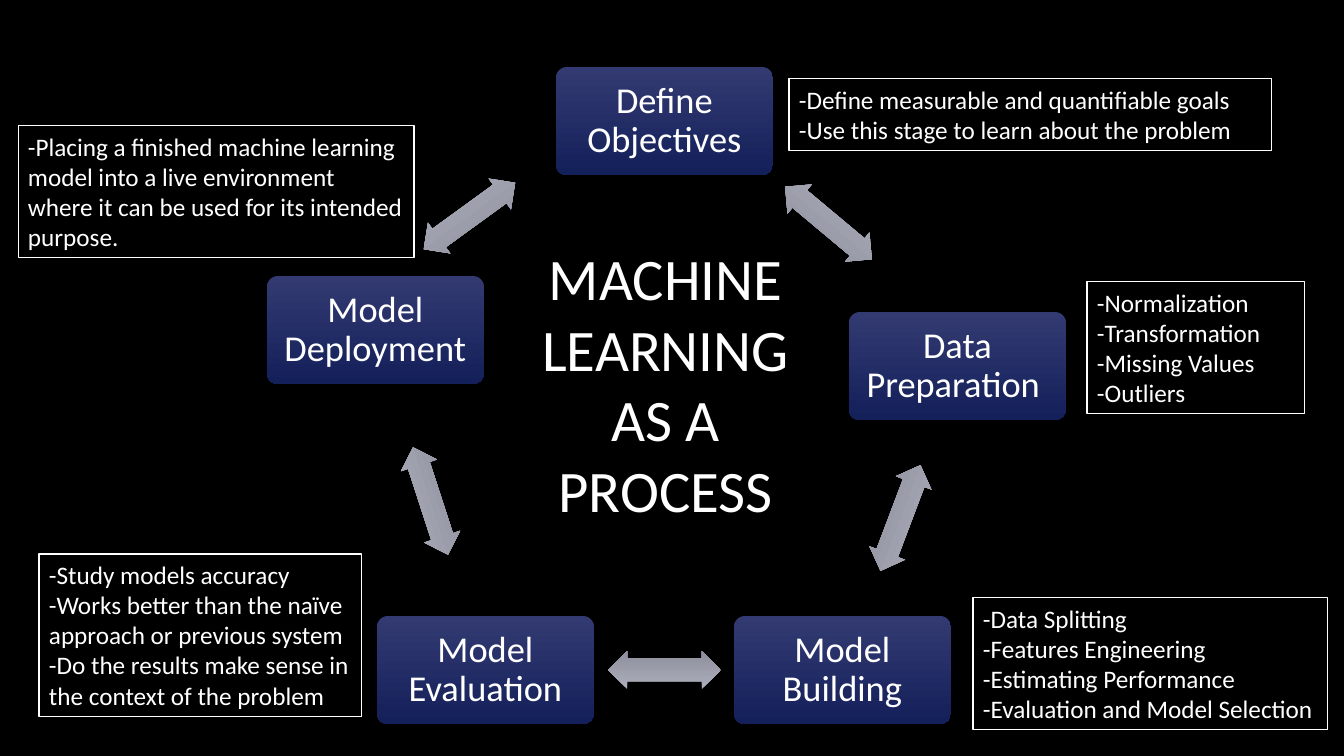
from pptx import Presentation
from pptx import util as u
from pptx.dml.color import RGBColor
from pptx.enum import shapes, text

PX = 914400 / 100.8  # EMU in one px

COLORS = {
    "background": "000000",
    "text": "FFFFFF",
    "stage_top": "333A72",
    "stage_bottom": "14205A",
    "arrow_top": "AEAFBC",
    "arrow_bottom": "8D8E9D",
}
STAGE_SIZE = (217, 108)
ARROW_SIZE = (113, 38)

# Clockwise from the top: label, position, then the arrow to the next stage
STAGES = [
    ("Define Objectives", (556, 67), (772, 204), 39.9),
    ("Data Preparation ", (849, 312), (844, 499), 110.7),
    ("Model Building", (734, 616), (608, 651), 180),
    ("Model Evaluation", (377, 616), (374, 482), 252),
    ("Model Deployment", (267, 276), (413, 197), 324),
]

NOTES = [
    ((789, 79, 483, 72),
     ["-Define measurable and quantifiable goals",
      "-Use this stage to learn about the problem"]),
    ((1087, 282, 218, 132),
     ["-Normalization", "-Transformation", "-Missing Values", "-Outliers"]),
    ((973, 598, 355, 132),
     ["-Data Splitting", "-Features Engineering",
      "-Estimating Performance", "-Evaluation and Model Selection"]),
    ((39, 554, 323, 163),
     ["-Study models accuracy",
      "-Works better than the naïve approach or previous system",
      "-Do the results make sense in the context of the problem"]),
    ((18, 126, 396, 132),
     ["-Placing a finished machine learning model into a live environment "
      "where it can be used for its intended purpose."]),
]


def px(n):
    return u.Emu(round(n * PX))


def rgb(name):
    return RGBColor.from_string(COLORS[name])


class ProcessSlide:
    font = "Calibri"

    def __init__(self, prs):
        self.s = prs.slides.add_slide(prs.slide_layouts[5])
        fill = self.s.background.fill
        fill.solid()
        fill.fore_color.rgb = rgb("background")

    def label(self, sp, lines, size, align, anchor):
        tf = sp.text_frame
        tf.text = "\n".join(lines)
        tf.word_wrap = True
        tf.auto_size = text.MSO_AUTO_SIZE.NONE
        tf.vertical_anchor = anchor
        for p in tf.paragraphs:
            p.alignment = align
            for r in p.runs:
                r.font.name = self.font
                r.font.size = u.Pt(size)
                r.font.color.rgb = rgb("text")
        return tf

    def title(self, box, name):
        sp = self.s.shapes.title
        sp.left, sp.top, sp.width, sp.height = map(px, box)
        self.label(sp, [name], 42, text.PP_ALIGN.CENTER, text.MSO_ANCHOR.TOP)

    def shape(self, kind, box):
        sp = self.s.shapes.add_shape(kind, *map(px, box))
        sp.shadow.inherit = False
        return sp

    def gradient_shape(self, kind, box, name):
        sp = self.shape(kind, box)
        sp.line.fill.background()
        sp.fill.gradient()
        sp.fill.gradient_angle = 270
        for stop, end in zip(sp.fill.gradient_stops, ("top", "bottom")):
            stop.color.rgb = rgb(f"{name}_{end}")
        return sp

    def stage(self, position, name):
        sp = self.gradient_shape(shapes.MSO_SHAPE.ROUNDED_RECTANGLE,
                                 position + STAGE_SIZE, "stage")
        sp.adjustments[0] = 0.1
        tf = self.label(sp, [name], 26, text.PP_ALIGN.CENTER,
                        text.MSO_ANCHOR.MIDDLE)
        tf.margin_left = tf.margin_right = px(14)
        tf.margin_top = tf.margin_bottom = px(14)
        tf.paragraphs[0].line_spacing = 0.9

    def arrow(self, position, angle):
        sp = self.gradient_shape(shapes.MSO_SHAPE.LEFT_RIGHT_ARROW,
                                 position + ARROW_SIZE, "arrow")
        sp.adjustments[0] = 0.6
        sp.adjustments[1] = 0.5
        sp.rotation = angle

    def note(self, box, lines):
        sp = self.shape(shapes.MSO_SHAPE.RECTANGLE, box)
        sp.fill.background()
        sp.line.color.rgb = rgb("text")
        sp.line.width = u.Pt(0.75)
        self.label(sp, lines, 18, text.PP_ALIGN.LEFT, text.MSO_ANCHOR.TOP)


def main():
    prs = Presentation()
    prs.slide_width, prs.slide_height = px(1344), px(756)
    slide = ProcessSlide(prs)

    # Centre title
    slide.title((523, 237, 285, 295), "MACHINE LEARNING AS A PROCESS")

    # Cycle of stages and arrows
    for name, position, arrow_position, angle in STAGES:
        slide.stage(position, name)
        slide.arrow(arrow_position, angle)

    # Notes beside the stages
    for box, lines in NOTES:
        slide.note(box, lines)

    prs.save("out.pptx")


if __name__ == "__main__":
    main()
